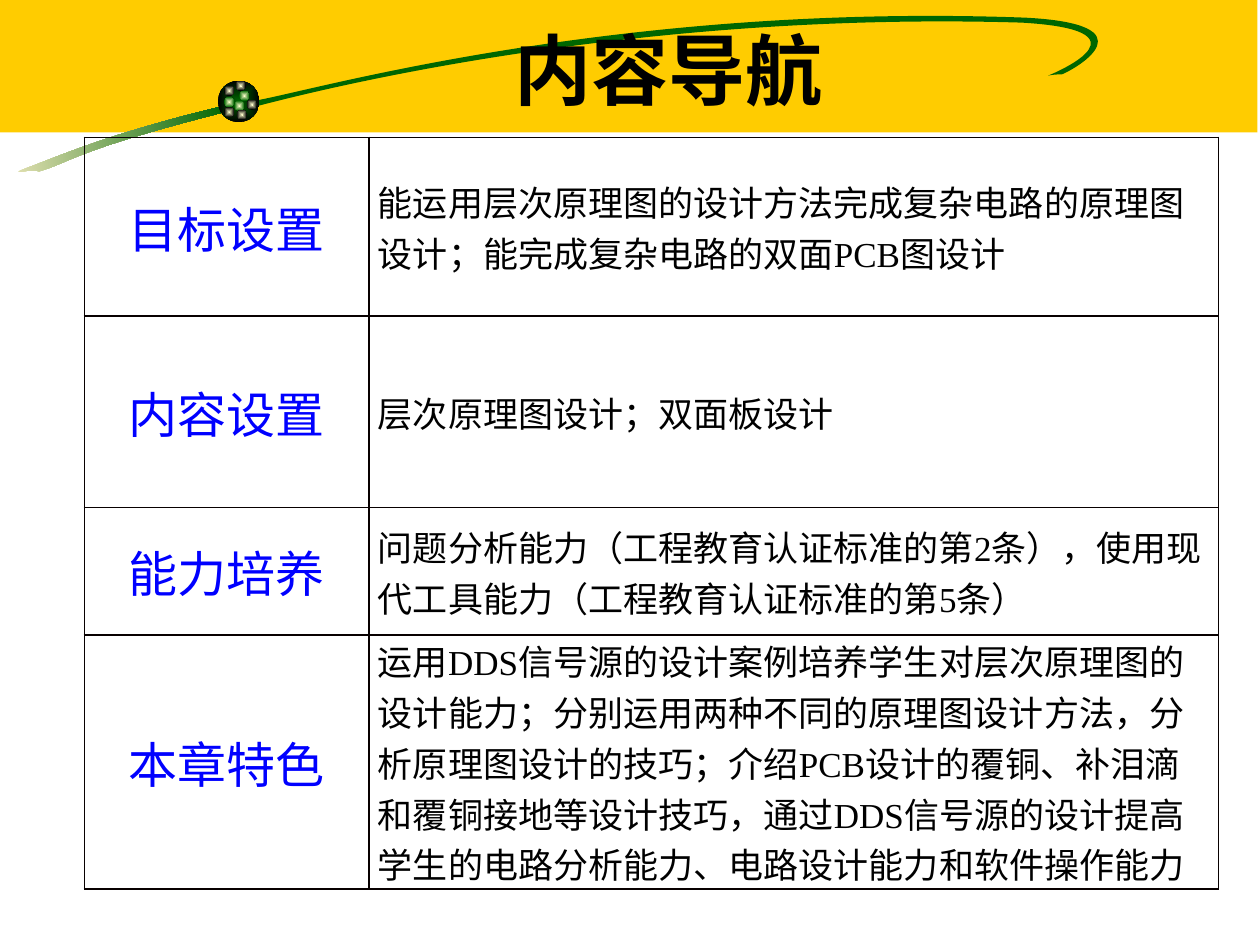
from math import cos, radians, sin

from lxml.etree import SubElement as Sub
from pptx import Presentation
from pptx.dml.color import RGBColor as Rgb
from pptx.enum.shapes import MSO_SHAPE as Kind
from pptx.enum.text import MSO_ANCHOR as Anchor, PP_ALIGN as Align
from pptx.oxml.ns import qn
from pptx.util import Inches, Pt

CJK = "Noto Sans CJK SC"
TURN = -8.5  # tilt of the swoosh, in degrees

# Small balls on the dark bead: left, top, edge colour
BALLS = [
    (1.9, 0.72, "006600"), (1.78, 0.68, "000000"),
    (1.78, 0.77, "006600"), (1.86, 0.8, "006600"),
    (1.96, 0.79, "000000"), (1.88, 0.87, "000000"),
    (1.78, 0.85, "000000"), (1.87, 0.64, "000000"),
]

# Swoosh parts: frame before the tilt, then the start point followed by
# two handles and an end for each cubic curve
TAIL = (-0.03, 0.98, 1.83, 0.3), [
    (1.78, 0.84),
    (0.9, 1.05), (0.49, 1.23), (0.25, 1.32),
    (0.01, 1.41), (0.26, 1.33), (0.31, 1.36),
    (0.56, 1.29), (0.57, 1.2), (1.78, 0.89),
    (1.78, 0.89), (1.78, 0.84), (1.78, 0.84),
]
SWEEP = (2.01, -0.08, 7.14, 1.09), [
    (2.02, 0.8),
    (2.45, 0.73), (4.85, 0.02), (8.13, 0.14),
    (9.15, 0.19), (8.55, 0.54), (8.43, 0.59),
    (8.43, 0.59), (8.36, 0.59), (8.32, 0.6),
    (8.42, 0.56), (9.14, 0.24), (8.11, 0.18),
    (5.47, 0.1), (3.2, 0.54), (2.05, 0.84),
    (2.05, 0.84), (2.02, 0.8), (2.02, 0.8),
]

COLS = [2.26, 6.74]
# Row height, heading, text; a bar switches between the two fonts
ROWS = [
    (1.42, "目标设置", "能运用层次原理图的设计方法完成复杂电路的原理图设计；能完成复杂电路的双面PCB图设计"),
    (1.52, "内容设置", "层次原理图设计；双面板设计"),
    (1.01, "能力培养", "问题分析能力（工程教育认证标准的第2条），使用现代工具能力（工程教育认证标准的第5条）"),
    (1.51, "本章特色", "运用DDS|信号源|的|设计|案例|培养|学生对层次原理图的设计能力；"
     "分别运用两种不同的原理图设计方法，分析原理图设计|的|技巧；"
     "介绍PCB设计的覆铜、|补|泪滴和覆铜接地等设计技巧，通过DDS|信号源|"
     "的设计提高学生|的电路分析能力、|电路设计能力|和|软件操作能力"),
]


def color(code):
    return Rgb.from_string(code)


def write(frame, text, size, code="000000", font="Times New Roman",
          bold=False, align=Align.LEFT):
    para = frame.paragraphs[0]
    para.alignment = align
    for i, part in enumerate(text.split("|")):
        run = para.add_run()
        run.text = part
        run.font.size, run.font.bold = Pt(size), bold
        run.font.name = CJK if i % 2 else font
        run.font.color.rgb = color(code)
        Sub(run.font._element, qn("a:ea"), typeface=CJK)


def paint(shape, *codes, round_out=False):
    """Fill with one colour, or with a gradient between two."""
    shape.shadow.inherit = False
    shape.line.fill.background()
    if len(codes) == 1:
        shape.fill.solid()
        shape.fill.fore_color.rgb = color(codes[0])
        return
    shape.fill.gradient()
    shape.fill.gradient_angle = 0
    for stop, code, pos in zip(shape.fill.gradient_stops, codes, (0, 1)):
        stop.color.rgb = color(code)
        stop.position = pos
    if round_out:
        grad = shape._element.spPr.find(qn("a:gradFill"))
        grad.remove(grad.find(qn("a:lin")))
        way = Sub(grad, qn("a:path"), path="shape")
        Sub(way, qn("a:fillToRect"), **dict.fromkeys("ltrb", "50000"))


def add_box(shapes, kind, *box):
    return shapes.add_shape(kind, *map(Inches, box))


def add_ball(shapes, left, top, size, inner, outer):
    ball = add_box(shapes, Kind.OVAL, left, top, size, size)
    paint(ball, inner, outer, round_out=True)


def level(point, frame):
    """Undo the tilt and measure the point from the frame's corner."""
    left, top, wide, high = frame
    x, y = point[0] - left - wide / 2, point[1] - top - high / 2
    c, s = cos(radians(TURN)), sin(radians(TURN))
    return (Inches(x * c + y * s + wide / 2),
            Inches(y * c - x * s + high / 2))


def add_swoosh(shapes, part, *codes):
    frame, points = part
    flat = [level(point, frame) for point in points]
    pen = shapes.build_freeform(*flat[0])
    pen.add_line_segments(flat[1:], close=True)
    shape = pen.convert_to_shape()
    shape.left, shape.top, shape.width, shape.height = map(Inches, frame)
    shape.rotation = TURN

    # Turn the lines into cubic curves within the frame
    route = next(shape._element.iter(qn("a:path")))
    route.set("w", str(shape.width))
    route.set("h", str(shape.height))
    for step in list(route):
        route.remove(step)
    for i in range(0, len(flat), 3):
        move = Sub(route, qn("a:cubicBezTo" if i else "a:moveTo"))
        for x, y in flat[max(i - 2, 0):i + 1]:
            Sub(move, qn("a:pt"), x=str(x), y=str(y))
    Sub(route, qn("a:close"))
    paint(shape, *codes)


def add_veil(shapes):
    """Half clear white panel behind the table."""
    veil = add_box(shapes, Kind.RECTANGLE, 0.74, 2.12, 1.21, 5.4)
    paint(veil, "FFFFFF")
    tint = next(veil._element.spPr.iter(qn("a:srgbClr")))
    Sub(tint, qn("a:alpha"), val="50000")


def add_border(cell, code="080000"):
    props = cell._tc.get_or_add_tcPr()
    for side in "LRTB":
        line = Sub(props, qn(f"a:ln{side}"), w=str(Pt(1)))
        Sub(Sub(line, qn("a:solidFill")), qn("a:srgbClr"), val=code)


def fill_cell(cell, text, **look):
    cell.margin_left = cell.margin_right = Inches(0.07)
    cell.margin_top = cell.margin_bottom = 0
    cell.vertical_anchor = Anchor.MIDDLE
    add_border(cell)
    cell.fill.background()
    write(cell.text_frame, text, **look)


def add_grid(shapes):
    box = map(Inches, (0.67, 1.09, sum(COLS), sum(row[0] for row in ROWS)))
    grid = shapes.add_table(len(ROWS), len(COLS), *box).table
    grid.first_row = grid.horz_banding = False
    for col, wide in zip(grid.columns, COLS):
        col.width = Inches(wide)
    for i, (tall, head, body) in enumerate(ROWS):
        grid.rows[i].height = Inches(tall)
        fill_cell(grid.cell(i, 0), head, size=28, code="0000FF",
                  align=Align.CENTER)
        fill_cell(grid.cell(i, 1), body, size=20)


def add_title(slide, text):
    title = slide.shapes.title
    title.left, title.top = Inches(1.06), Inches(0)
    title.width, title.height = Inches(8.5), Inches(1.09)
    title.text_frame.vertical_anchor = Anchor.MIDDLE
    write(title.text_frame, text, 44, font="Arial Narrow", bold=True,
          align=Align.CENTER)
    # Bring the title in front of the banner
    slide.shapes._spTree.append(title._element)


def main():
    deck = Presentation()
    deck.slide_width, deck.slide_height = Inches(10), Inches(7.5)
    slide = deck.slides.add_slide(deck.slide_layouts[5])
    shapes = slide.shapes

    # Banner with swoosh and bead
    paint(add_box(shapes, Kind.RECTANGLE, 0, -0.03, 9.98, 1.08), "FFCC00")
    add_swoosh(shapes, TAIL, "F5EBC1", "006600")
    add_swoosh(shapes, SWEEP, "006600")
    add_ball(shapes, 1.73, 0.64, 0.33, "006600", "000000")
    for left, top, edge in BALLS:
        add_ball(shapes, left, top, 0.08, "FFFFCC", edge)
    add_veil(shapes)

    # Title and table
    add_title(slide, "内容导航")
    add_grid(shapes)
    deck.save("out.pptx")


if __name__ == "__main__":
    main()
